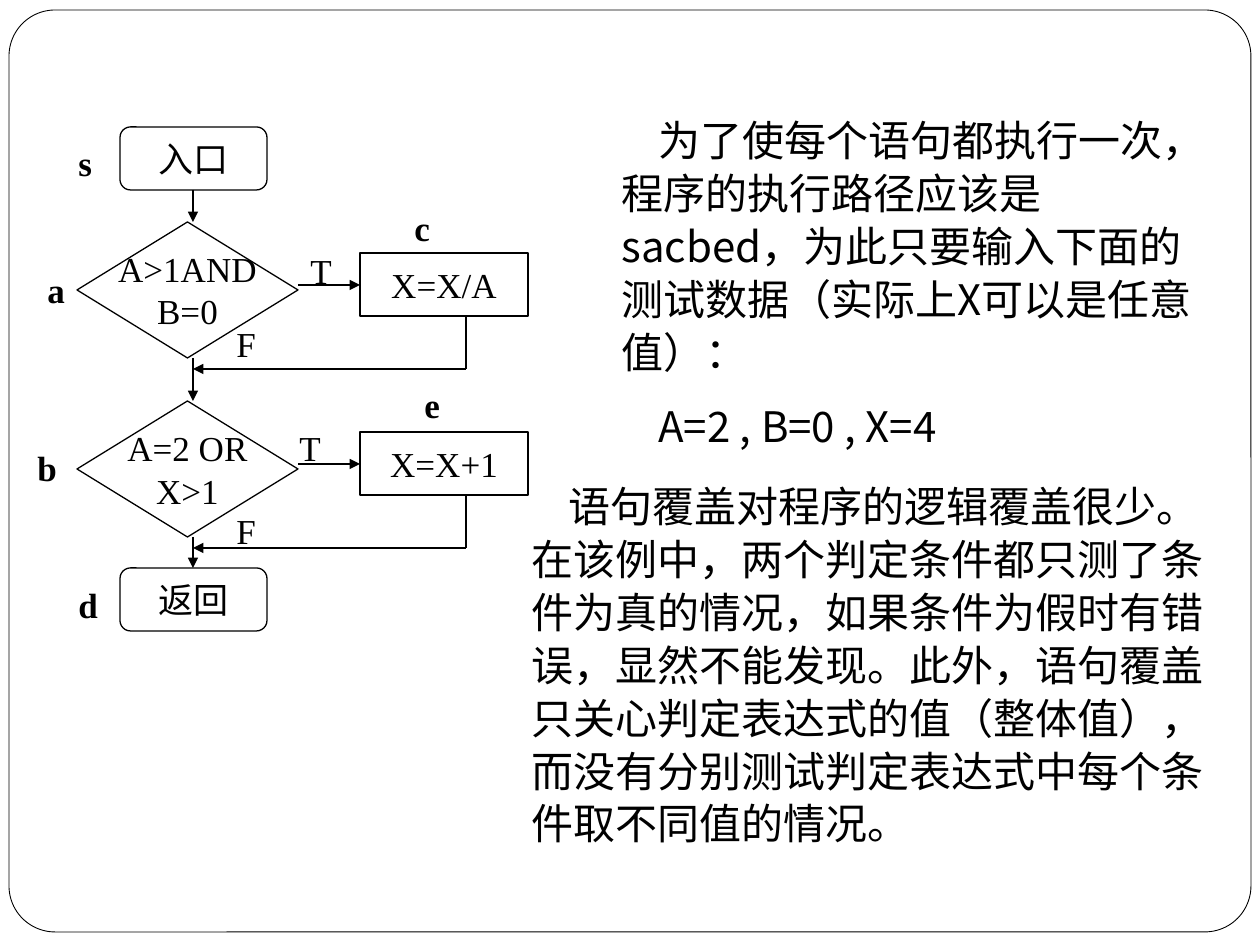
from lxml import etree
from pptx import Presentation
from pptx.dml.color import RGBColor
from pptx.enum.shapes import MSO_CONNECTOR, MSO_SHAPE as Shape
from pptx.enum.text import MSO_ANCHOR, PP_ALIGN as Align
from pptx.oxml.ns import qn
from pptx.util import Emu, Pt

EMU_PER_PX = 914400 / 126
COLORS = {"ink": "000000", "paper": "FFFFFF"}
SERIF, SANS = "Times New Roman", "Noto Sans CJK SC"
LEVEL_STEP = 179  # from the first decision to the second
FLOW_X, RETURN_X = 193, 466


def px(*lengths):
    return [Emu(round(n * EMU_PER_PX)) for n in lengths]


def color(name):
    return RGBColor.from_string(COLORS[name])


def add_run(paragraph, text, size, font, bold=False):
    run = paragraph.add_run()
    run.text = text
    run.font.size, run.font.name, run.font.bold = Pt(size), font, bold
    run.font.color.rgb = color("ink")
    east_asian = etree.SubElement(run.font._element, qn("a:ea"))
    east_asian.set("typeface", SANS)


def add_outlined(slide, kind, box, width=0.75):
    shape = slide.shapes.add_shape(kind, *px(*box))
    shape.shadow.inherit = False
    shape.fill.solid()
    shape.fill.fore_color.rgb = color("paper")
    shape.line.color.rgb = color("ink")
    shape.line.width = Pt(width)
    return shape


def add_step(slide, kind, box, *lines):
    frame = add_outlined(slide, kind, box).text_frame
    frame.word_wrap = False
    frame.vertical_anchor = MSO_ANCHOR.MIDDLE
    for i, line in enumerate(lines):
        paragraph = frame.add_paragraph() if i else frame.paragraphs[0]
        paragraph.alignment = Align.CENTER
        add_run(paragraph, line, 20, SERIF)


def add_flow(slide, x1, y1, x2, y2, arrow=True):
    flow = slide.shapes.add_connector(MSO_CONNECTOR.STRAIGHT, *px(x1, y1, x2, y2))
    flow.line.color.rgb = color("ink")
    flow.line.width = Pt(0.75)
    if arrow:
        etree.SubElement(flow.line._get_or_add_ln(), qn("a:tailEnd")).set("type", "triangle")
    etree.SubElement(flow._element.spPr, qn("a:effectLst"))


def add_label(slide, text, x, y, width, bold=False):
    frame = slide.shapes.add_textbox(*px(x, y, width, 55)).text_frame
    frame.word_wrap = not bold
    add_run(frame.paragraphs[0], text, 20, SERIF, bold)


def add_explanation(slide, text, box):
    frame = slide.shapes.add_textbox(*px(*box)).text_frame
    frame.word_wrap = True
    paragraph = frame.paragraphs[0]
    paragraph.line_spacing = 1.05
    paragraph._p.get_or_add_pPr().set("indent", str(px(37)[0]))
    add_run(paragraph, text, 24, SANS)


def add_branch(slide, top, condition, action):
    """Decision with its true-side action and the line back to the main flow."""
    add_step(slide, Shape.FLOWCHART_DECISION, (77, top, 221, 136), *condition)
    add_step(slide, Shape.FLOWCHART_PROCESS, (360, top + 31, 168, 63), action)
    add_flow(slide, 298, top + 63, 360, top + 63)
    add_flow(slide, RETURN_X, top + 94, RETURN_X, top + 147, arrow=False)
    add_flow(slide, RETURN_X, top + 147, FLOW_X, top + 147)


def main():
    prs = Presentation()
    prs.slide_width, prs.slide_height = px(1260, 945)
    slide = prs.slides.add_slide(prs.slide_layouts[6])

    border = add_outlined(slide, Shape.ROUNDED_RECTANGLE, (9, 10, 1242, 922), 0.5)
    border.adjustments[0] = 0.05

    for text, top in (("入口", 127), ("返回", 568)):
        add_step(slide, Shape.FLOWCHART_ALTERNATE_PROCESS, (120, top, 147, 63), text)
    branches = ((("A>1AND", "B=0"), "X=X/A"), (("A=2 OR", "X>1"), "X=X+1"))
    for level, (condition, action) in enumerate(branches):
        add_branch(slide, 222 + level * LEVEL_STEP, condition, action)
    for start, end in ((190, 222), (358, 401), (537, 568)):
        add_flow(slide, FLOW_X, start, FLOW_X, end)

    for outcome, x, y, width in (("T", 298, 243, 53), ("F", 224, 316, 42),
                                 ("F", 224, 503, 42), ("T", 287, 420, 42)):
        add_label(slide, outcome, x, y, width)
    for node, x, y, width in (("s", 66, 135, 39), ("a", 35, 262, 43), ("b", 25, 440, 44),
                              ("d", 66, 577, 44), ("c", 402, 200, 40), ("e", 412, 377, 40)):
        add_label(slide, node, x, y, width, bold=True)

    add_explanation(slide, "为了使每个语句都执行一次，程序的执行路径应该是sacbed，"
                    "为此只要输入下面的测试数据（实际上X可以是任意值）：", (609, 106, 599, 277))
    add_explanation(slide, "A=2 , B=0 , X=4", (609, 392, 599, 66))
    add_explanation(slide, "语句覆盖对程序的逻辑覆盖很少。在该例中，两个判定条件都只测了条件为真的情况，"
                    "如果条件为假时有错误，显然不能发现。此外，语句覆盖只关心判定表达式的值（整体值），"
                    "而没有分别测试判定表达式中每个条件取不同值的情况。", (519, 472, 707, 383))

    prs.save("out.pptx")


if __name__ == "__main__":
    main()
